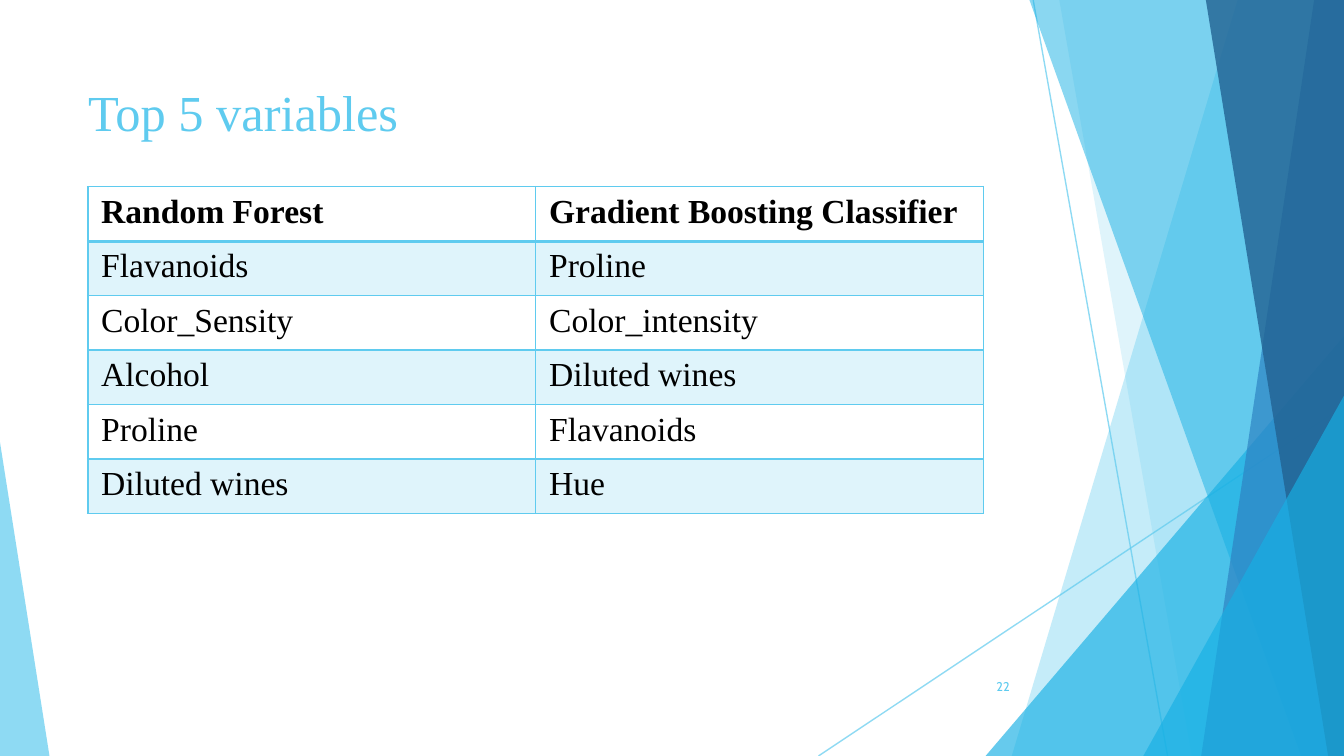
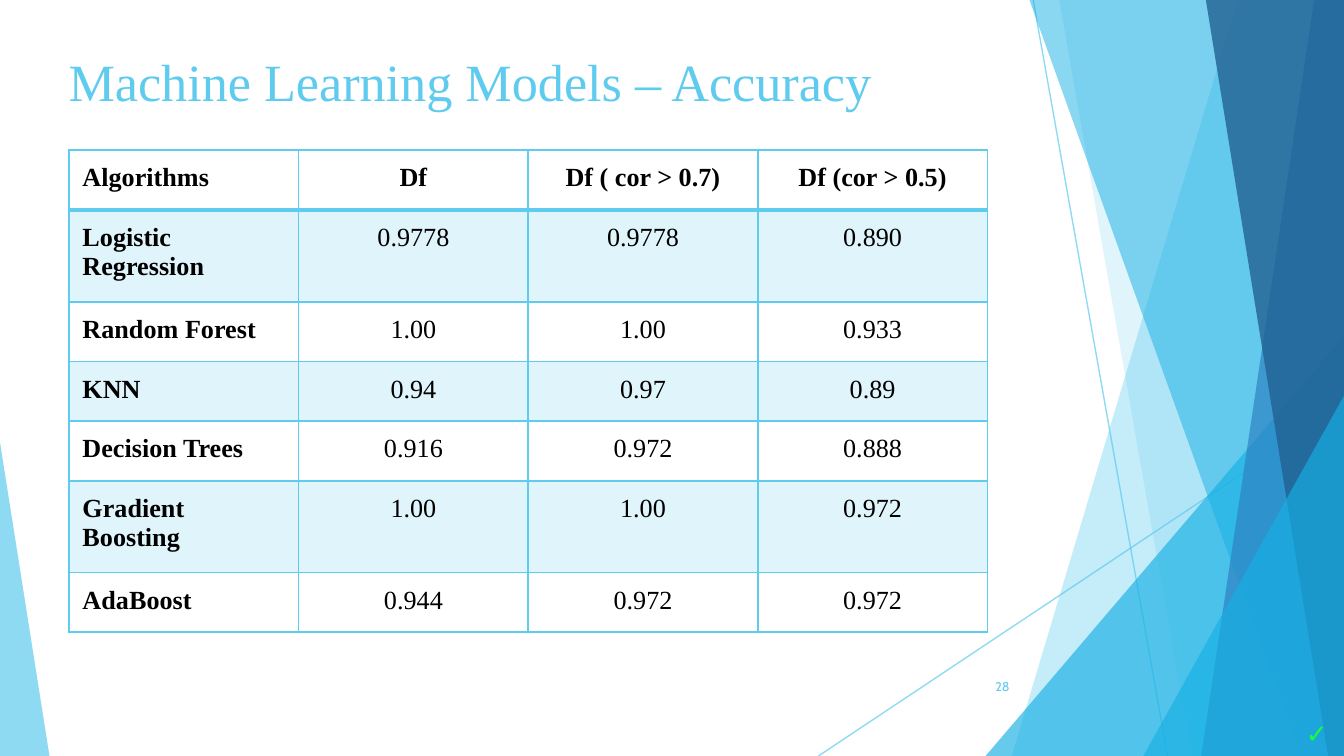
from dataclasses import dataclass

from lxml.etree import SubElement
from pptx import Presentation
from pptx.dml.color import RGBColor
from pptx.enum.shapes import MSO_CONNECTOR, MSO_SHAPE
from pptx.enum.text import MSO_ANCHOR, MSO_AUTO_SIZE, PP_ALIGN
from pptx.oxml import parse_xml
from pptx.oxml.ns import nsdecls, qn
from pptx.util import Pt

WIDTH, HEIGHT = 720, 405
SKY, CYAN, BLUE, NAVY = "5FCBEF", "17B0E4", "2E83C3", "226292"
BLACK, GREEN = "000000", "13FF3A"
SERIF, SANS = "Times New Roman", "Cabin"
INSET = 7.2
TITLE_ONLY = 5


@dataclass(frozen=True)
class Ray:
    start: tuple[float, float]
    end: tuple[float, float]


@dataclass(frozen=True)
class Band:
    top_x: float
    bottom_x: float
    fill: str
    opacity: int


@dataclass(frozen=True)
class Wedge:
    left: float
    top: float
    width: float
    apex: float
    fill: str
    opacity: int


@dataclass(frozen=True)
class Style:
    size: float
    font: str = SERIF
    color: str = SKY
    bold: bool = False


@dataclass(frozen=True)
class Frame:
    left: float
    top: float
    width: float
    height: float


@dataclass(frozen=True)
class Grid:
    left: float
    top: float
    column_width: float
    row_heights: list[float]
    size: float
    vertical_inset: float
    bold_labels: bool
    value_align: PP_ALIGN
    rows: list[list[str]]


RAYS = [Ray((553.5, 0), (625.5, HEIGHT)), Ray((WIDTH, 217.5), (438.5, HEIGHT))]
FACETS = [
    Band(663, 542, SKY, 36),
    Band(567.5, 638.5, SKY, 20),
    Wedge(528, 180, 192, 1, CYAN, 66),
    Band(551.5, 697, CYAN, 50),
    Band(704, 643.5, BLUE, 70),
    Band(646, 711.5, NAVY, 80),
    Wedge(612.5, 212, 107.5, 1, CYAN, 66),
    Wedge(0, 237, 26.5, 0, SKY, 70),
]

VARIABLES = Grid(
    47, 100, 240, [29.2] * 6, 18, 3.6, False, PP_ALIGN.LEFT,
    [
        ["Random Forest", "Gradient Boosting Classifier"],
        ["Flavanoids", "Proline"],
        ["Color_Sensity", "Color_intensity"],
        ["Alcohol", "Diluted wines"],
        ["Proline", "Flavanoids"],
        ["Diluted wines", "Hue"],
    ],
)
ACCURACY = Grid(
    37, 80.5, 123, [32, 49.2, 32, 32, 32, 49.2, 32], 14, INSET, True, PP_ALIGN.CENTER,
    [
        ["Algorithms", "Df", "Df ( cor > 0.7)", "Df (cor > 0.5)"],
        ["Logistic Regression", "0.9778", "0.9778", "0.890"],
        ["Random Forest", "1.00", "1.00", "0.933"],
        ["KNN", "0.94", "0.97", "0.89"],
        ["Decision Trees", "0.916", "0.972", "0.888"],
        ["Gradient Boosting", "1.00", "1.00", "0.972"],
        ["AdaBoost", "0.944", "0.972", "0.972"],
    ],
)


def rgb(color: str) -> RGBColor:
    return RGBColor.from_string(color)


def set_opacity(element, percent: int) -> None:
    for color in element.iter(qn("a:srgbClr")):
        SubElement(color, qn("a:alpha")).set("val", str(percent * 1000))


def write(text_frame, text: str, style: Style, align=PP_ALIGN.LEFT) -> None:
    para = text_frame.paragraphs[0]
    para.alignment = align
    span = para.add_run()
    span.text = text
    span.font.size = Pt(style.size)
    span.font.name = style.font
    span.font.bold = style.bold
    span.font.color.rgb = rgb(style.color)


def set_insets(target, horizontal: float, vertical: float) -> None:
    target.margin_left = target.margin_right = Pt(horizontal)
    target.margin_top = target.margin_bottom = Pt(vertical)


def draw_ray(shapes, ray: Ray) -> None:
    points = [Pt(value) for value in ray.start + ray.end]
    line = shapes.add_connector(MSO_CONNECTOR.STRAIGHT, *points)
    line.line.width = Pt(0.75)
    line.line.color.rgb = rgb(SKY)
    set_opacity(line.element, 70)
    SubElement(line.element.spPr, qn("a:effectLst"))


def draw_facet(shapes, facet: Band | Wedge) -> None:
    if isinstance(facet, Band):
        builder = shapes.build_freeform(Pt(facet.top_x), 0)
        corners = [(WIDTH, 0), (WIDTH, HEIGHT), (facet.bottom_x, HEIGHT)]
        builder.add_line_segments([(Pt(x), Pt(y)) for x, y in corners], close=True)
        shape = builder.convert_to_shape()
    else:
        shape = shapes.add_shape(
            MSO_SHAPE.ISOSCELES_TRIANGLE,
            Pt(facet.left), Pt(facet.top), Pt(facet.width), Pt(HEIGHT - facet.top),
        )
        shape.adjustments[0] = facet.apex
    shape.shadow.inherit = False
    shape.fill.solid()
    shape.fill.fore_color.rgb = rgb(facet.fill)
    set_opacity(shape.element, facet.opacity)
    shape.line.fill.background()


def place(box, frame: Frame) -> None:
    box.left, box.top = Pt(frame.left), Pt(frame.top)
    box.width, box.height = Pt(frame.width), Pt(frame.height)


def add_label(page, frame: Frame, text: str, style: Style, align=PP_ALIGN.LEFT) -> None:
    box = page.shapes.add_textbox(0, 0, 0, 0)
    place(box, frame)
    box.text_frame.word_wrap = True
    box.text_frame.vertical_anchor = MSO_ANCHOR.MIDDLE
    write(box.text_frame, text, style, align)


def add_page(deck, title: str, frame: Frame, size: float, anchor: MSO_ANCHOR, number: int):
    page = deck.slides.add_slide(deck.slide_layouts[TITLE_ONLY])
    backdrop = page.shapes.add_group_shape()
    for ray in RAYS:
        draw_ray(backdrop.shapes, ray)
    for facet in FACETS:
        draw_facet(backdrop.shapes, facet)
    heading = page.shapes.title
    page.shapes.element.append(heading.element)
    place(heading, frame)
    text_frame = heading.text_frame
    text_frame.auto_size = MSO_AUTO_SIZE.NONE
    text_frame.vertical_anchor = anchor
    set_insets(text_frame, INSET, INSET)
    write(text_frame, title, Style(size))
    add_label(page, Frame(507.5, 357, 40.5, 21.6), str(number), Style(6.8, SANS), PP_ALIGN.RIGHT)
    return page


def set_borders(cell, row: int) -> None:
    properties = cell._tc.get_or_add_tcPr()
    widths = {"L": 1, "R": 1, "T": 2 if row == 1 else 1, "B": 2 if row == 0 else 1}
    for index, (side, width) in enumerate(widths.items()):
        border = parse_xml(
            f'<a:ln{side} {nsdecls("a")} w="{Pt(width)}"><a:solidFill>'
            f'<a:srgbClr val="{SKY}"/></a:solidFill></a:ln{side}>'
        )
        properties.insert(index, border)


def add_grid(page, grid: Grid) -> None:
    columns = len(grid.rows[0])
    table = page.shapes.add_table(
        len(grid.rows), columns, Pt(grid.left), Pt(grid.top),
        Pt(grid.column_width * columns), Pt(sum(grid.row_heights)),
    ).table
    table.horz_banding = False
    table.first_row = False
    for column in table.columns:
        column.width = Pt(grid.column_width)
    for row, (height, texts) in enumerate(zip(grid.row_heights, grid.rows)):
        table.rows[row].height = Pt(height)
        for column, text in enumerate(texts):
            cell = table.cell(row, column)
            set_insets(cell, INSET, grid.vertical_inset)
            bold = row == 0 or (grid.bold_labels and column == 0)
            align = grid.value_align if column else PP_ALIGN.LEFT
            write(cell.text_frame, text, Style(grid.size, color=BLACK, bold=bold), align)
            if row % 2:
                cell.fill.solid()
                cell.fill.fore_color.rgb = rgb(SKY)
                set_opacity(cell._tc.tcPr, 20)
            else:
                cell.fill.background()
            set_borders(cell, row)


def main() -> None:
    deck = Presentation()
    deck.slide_width, deck.slide_height = Pt(WIDTH), Pt(HEIGHT)

    page = add_page(
        deck, "Top 5 variables", Frame(40, 36, 508, 52.5), 27, MSO_ANCHOR.TOP, 22
    )
    add_grid(page, VARIABLES)

    page = add_page(
        deck, "Machine Learning Models – Accuracy",
        Frame(29.5, 17.5, 478, 51), 28, MSO_ANCHOR.MIDDLE, 28,
    )
    add_label(page, Frame(692.5, 380.5, 27.5, 24.5), "✓", Style(14, SANS, GREEN, True))
    add_grid(page, ACCURACY)

    deck.save("out.pptx")


if __name__ == "__main__":
    main()
